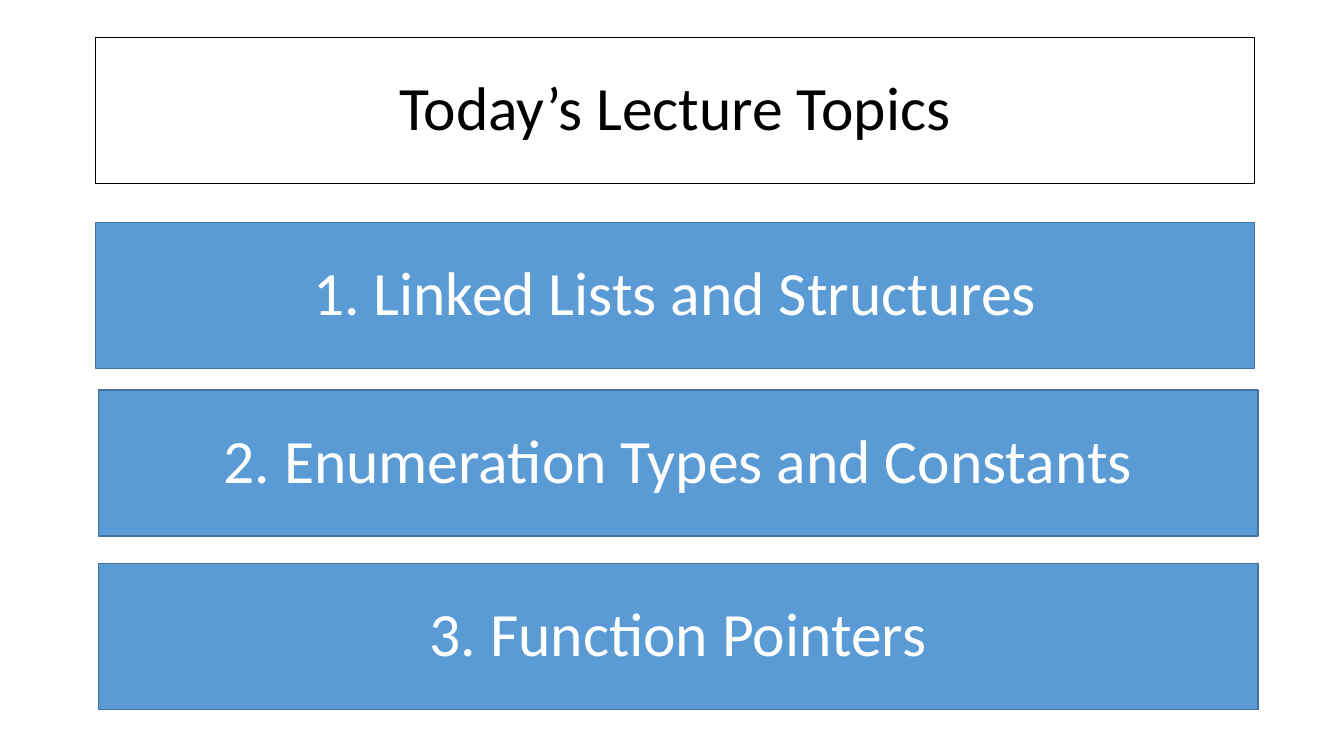
from pptx import Presentation
from pptx.dml.color import RGBColor
from pptx.enum.shapes import MSO_SHAPE
from pptx.enum.text import MSO_ANCHOR, PP_ALIGN
from pptx.util import Cm, Pt

RECTANGLE = MSO_SHAPE.RECTANGLE
MIDDLE = MSO_ANCHOR.MIDDLE
CENTER = PP_ALIGN.CENTER

WHITE = RGBColor(0xFF, 0xFF, 0xFF)
BLACK = RGBColor(0x00, 0x00, 0x00)
BLUE = RGBColor(0x5B, 0x9B, 0xD5)
DARK_BLUE = RGBColor(0x43, 0x73, 0x9E)

# Content: text, left and top in cm
HEADING = ("Today’s Lecture Topics", 2.41, 0.94)
TOPICS = [
    ("1. Linked Lists and Structures", 2.41, 5.61),
    ("2. Enumeration Types and Constants", 2.49, 9.83),
    ("3. Function Pointers", 2.49, 14.2),
]
BAR_WIDTH, BAR_HEIGHT = Cm(29.21), Cm(3.68)


def add_bar(slide, text, left, top, fill, line, color):
    sp = slide.shapes.add_shape(RECTANGLE, Cm(left), Cm(top), BAR_WIDTH, BAR_HEIGHT)
    sp.shadow.inherit = False
    sp.fill.solid()
    sp.fill.fore_color.rgb = fill
    sp.line.color.rgb = line
    sp.line.width = Pt(1)
    tf = sp.text_frame
    tf.word_wrap = True
    tf.vertical_anchor = MIDDLE
    p = tf.paragraphs[0]
    p.text = text
    p.alignment = CENTER
    p.line_spacing = 0.9
    p.font.name = "Calibri"
    p.font.size = Pt(44)
    p.font.color.rgb = color


prs = Presentation()
prs.slide_width, prs.slide_height = Cm(33.87), Cm(19.05)
slide = prs.slides.add_slide(prs.slide_layouts[6])

# Heading and topic bars
add_bar(slide, *HEADING, WHITE, BLACK, BLACK)
for topic in TOPICS:
    add_bar(slide, *topic, BLUE, DARK_BLUE, WHITE)

prs.save("out.pptx")
